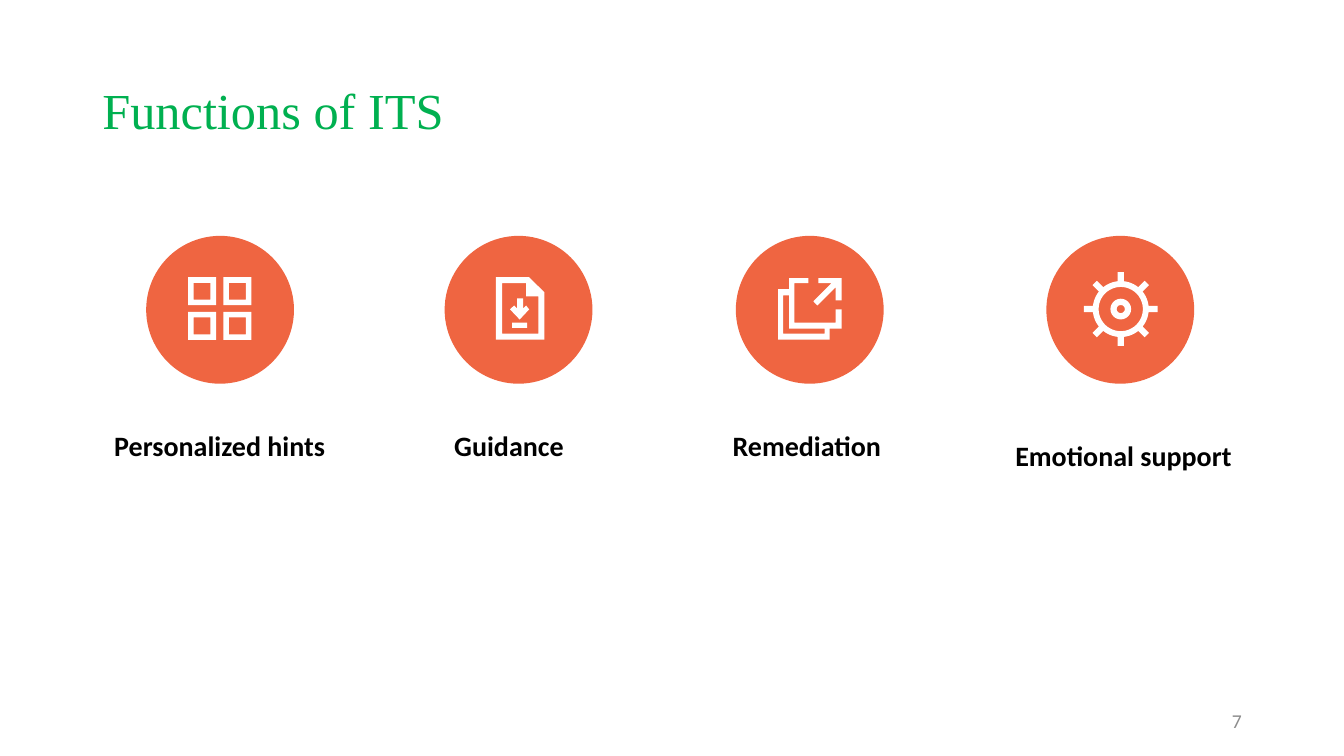
from math import asin, cos, pi, sin

from pptx import Presentation
from pptx.dml.color import RGBColor
from pptx.enum.shapes import MSO_SHAPE as SHAPE
from pptx.enum.text import MSO_ANCHOR as ANCHOR
from pptx.enum.text import MSO_AUTO_SIZE as AUTO
from pptx.enum.text import PP_ALIGN as ALIGN
from pptx.util import Pt

ORANGE, WHITE, GREEN, BLACK, GREY = "EF6541", "FFFFFF", "00B050", "000000", "8C8C8C"
CIRCLE_TOP, CIRCLE_SIZE = 168.5, 105.6
LABEL_TOP = 302.4

# circle left, label, label left, label width, label height, line spacing
FUNCTIONS = [
    (104.4, "Personalized hints", 64, 185.8, 55.4, 1),
    (317.6, "Guidance", 281.5, 164.2, 31, 1),
    (525.6, "Remediation", 490.3, 172, 31, 1),
    (747.4, "Emotional support", 686.2, 232.6, 38.2, 1.3),
]

PAGE = [
    [(354.2, 198), (378, 198), (388.8, 208.8), (388.8, 242.6), (354.2, 242.6)],
    [(358.6, 238.3), (384.5, 238.3), (384.5, 211.7), (375.8, 211.7),
     (375.8, 202.3), (358.6, 202.3)],
]
DOWN_ARROW = [
    [(373.7, 220.3), (373.7, 213.1), (369.4, 213.1), (369.4, 220.3), (367.2, 218.2),
     (364.3, 221), (371.2, 228.2), (378, 221), (375.8, 218.2)],
]
STACKED_SHEETS = [
    [(596.9, 230.4), (567.4, 230.4), (567.4, 202.3), (577.4, 202.3), (577.4, 198.7),
     (563.8, 198.7), (563.8, 206.6), (555.8, 206.6), (555.8, 242.6), (592.6, 242.6),
     (592.6, 234.7), (601.2, 234.7), (601.2, 221), (596.9, 221)],
    [(589, 238.3), (559.4, 238.3), (559.4, 211), (563.8, 211), (563.8, 234.7),
     (589, 234.7)],
]
OUT_ARROW = [
    [(584.6, 198.7), (584.6, 202.3), (594, 202.3), (581, 215.3), (583.9, 218.2),
     (596.9, 205.2), (596.9, 214.6), (601.2, 214.6), (601.2, 198.7)],
]


def rgb(value):
    return RGBColor.from_string(value)


def square(x, y, size):
    return [(x, y), (x + size, y), (x + size, y + size), (x, y + size)]


def gear(cx, cy, tip=26.4, rim=20, hole=15.8, half_tooth=2.2, teeth=8, steps=6):
    """Return the toothed outline and the round hole inside it."""
    def polar(radius, angle):
        return cx + radius * cos(angle), cy + radius * sin(angle)

    pitch = 2 * pi / teeth
    tip_turn, rim_turn = asin(half_tooth / tip), asin(half_tooth / rim)
    outline = []
    for tooth in range(teeth):
        angle = tooth * pitch
        outline += [polar(tip, angle - tip_turn), polar(tip, angle + tip_turn)]
        gap = pitch - 2 * rim_turn
        outline += [polar(rim, angle + rim_turn + gap * i / steps)
                    for i in range(steps + 1)]
    count = teeth * steps
    return [outline, [polar(hole, -2 * pi * i / count) for i in range(count)]]


class Deck:
    """Holds the style and the current slide."""

    font = "Calibri"

    def __init__(self, width, height):
        self.prs = Presentation()
        self.prs.slide_width, self.prs.slide_height = Pt(width), Pt(height)
        self.s = self.prs.slides.add_slide(self.prs.slide_layouts[6])

    def group(self):
        return self.s.shapes.add_group_shape().shapes

    def paint(self, sp, fill):
        sp.shadow.inherit = False
        sp.fill.solid()
        sp.fill.fore_color.rgb = rgb(fill)
        sp.line.fill.background()
        return sp

    def shape(self, shapes, kind, x, y, w, h, fill=WHITE):
        return self.paint(shapes.add_shape(kind, Pt(x), Pt(y), Pt(w), Pt(h)), fill)

    def outline(self, shapes, contours, fill=WHITE):
        """Draw closed contours as one shape; inner contours are holes."""
        builder = None
        for contour in contours:
            start, *rest = [(Pt(x), Pt(y)) for x, y in contour]
            if builder is None:
                builder = shapes.build_freeform(*start)
            else:
                builder.move_to(*start)
            builder.add_line_segments(rest, close=True)
        return self.paint(builder.convert_to_shape(), fill)

    def text(self, text, x, y, w, h, size, color, align=ALIGN.LEFT, spacing=1,
             frame=None, **font):
        sp = self.s.shapes.add_textbox(Pt(x), Pt(y), Pt(w), Pt(h))
        tf = sp.text_frame
        for name, value in {"word_wrap": True, **(frame or {})}.items():
            setattr(tf, name, value)
        p = tf.paragraphs[0]
        p.alignment, p.line_spacing = align, spacing
        r = p.add_run()
        r.text = text
        for name, value in {"name": self.font, "size": Pt(size), **font}.items():
            setattr(r.font, name, value)
        r.font.color.rgb = rgb(color)


def main():
    deck = Deck(960, 540)
    middle = {"vertical_anchor": ANCHOR.MIDDLE}
    deck.text("7", 678.2, 500.4, 216, 28.8, 14, GREY, ALIGN.RIGHT, frame=middle)
    deck.text("Functions of ITS", 66, 28.8, 828, 104.4, 36, GREEN, spacing=0.9,
              frame=middle, name="Times New Roman")

    for left, *_ in FUNCTIONS:
        deck.shape(deck.s.shapes, SHAPE.OVAL, left, CIRCLE_TOP,
                   CIRCLE_SIZE, CIRCLE_SIZE, ORANGE)

    settings = deck.group()
    deck.outline(settings, gear(800.6, 220.8))
    hub = deck.shape(settings, SHAPE.DONUT, 793.2, 213.4, 14.8, 14.8)
    hub.adjustments[0] = 0.3

    download = deck.group()
    deck.outline(download, PAGE)
    deck.outline(download, DOWN_ARROW)
    deck.shape(download, SHAPE.RECTANGLE, 365.8, 230.4, 10.8, 3.8)

    export = deck.group()
    deck.outline(export, STACKED_SHEETS)
    deck.outline(export, OUT_ARROW)

    tiles = deck.group()
    for y in (198, 222.8):
        for x in (134.4, 159.6):
            deck.outline(tiles, [square(x, y, 20), square(x + 4, y + 4, 12)[::-1]])

    for _, label, x, w, h, spacing in FUNCTIONS:
        deck.text(label, x, LABEL_TOP, w, h, 20, BLACK, ALIGN.CENTER, spacing,
                  frame={"auto_size": AUTO.SHAPE_TO_FIT_TEXT}, bold=True)

    deck.prs.save("out.pptx")


if __name__ == "__main__":
    main()
